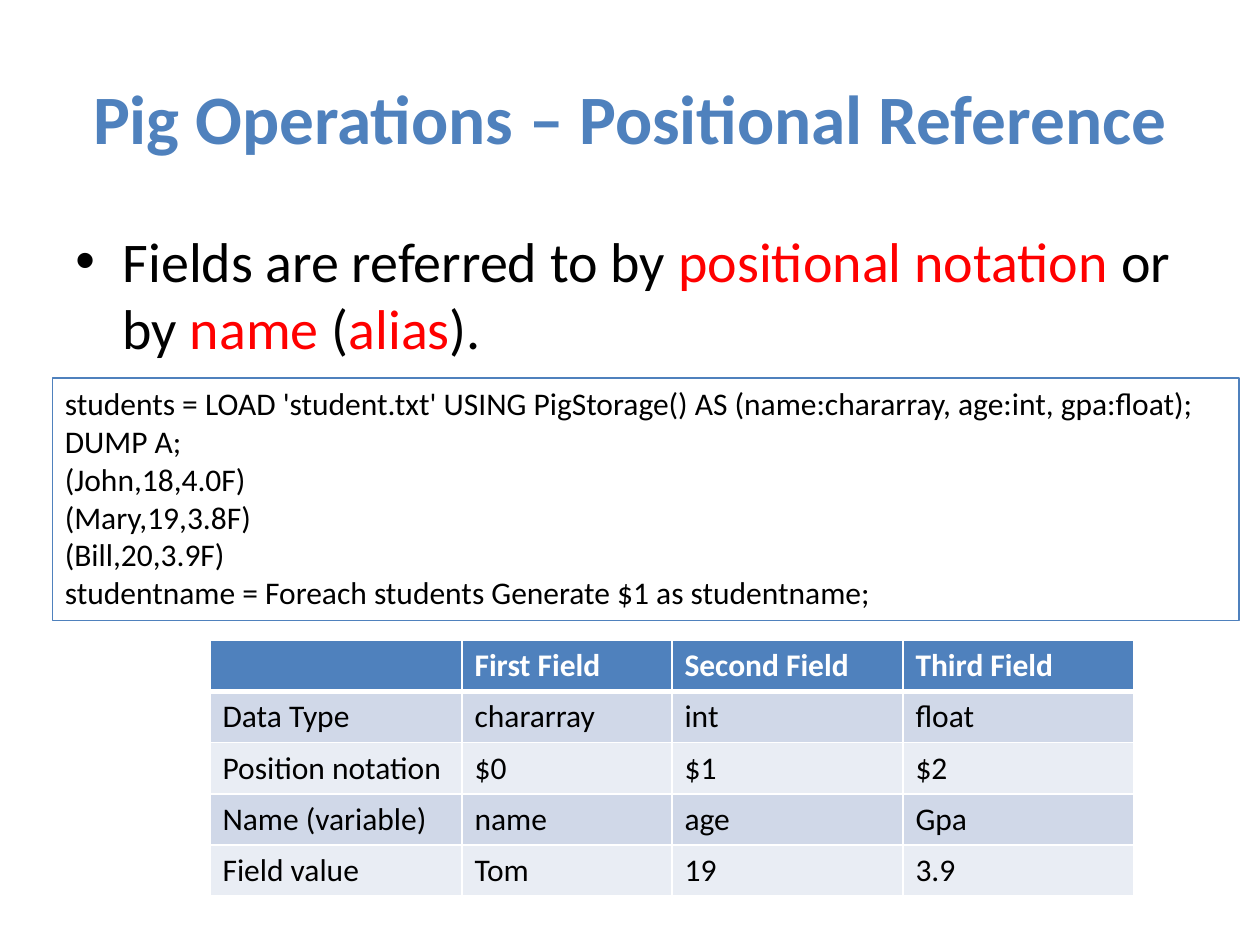
"""Build the slide on positional references in Pig."""
from lxml.etree import SubElement
from pptx import Presentation
from pptx.dml.color import RGBColor
from pptx.enum.shapes import MSO_SHAPE
from pptx.enum.text import MSO_ANCHOR, PP_ALIGN
from pptx.oxml import parse_xml
from pptx.oxml.ns import nsdecls, qn
from pptx.util import Pt

COLORS = {"blue": "4F81BD", "black": "000000", "red": "FF0000",
          "white": "FFFFFF", "dark_band": "D0D8E8", "light_band": "E9EDF4"}


def style(font, size, color, bold=False):
    font.name = "Calibri"
    font.size = Pt(size)
    font.bold = bold
    font.color.rgb = RGBColor.from_string(COLORS[color])


def add_border(cell, side, width):
    return parse_xml(
        f'<a:{side} {nsdecls("a")} w="{Pt(width)}"><a:solidFill>'
        f'<a:srgbClr val="{COLORS["white"]}"/></a:solidFill></a:{side}>')


presentation = Presentation()
presentation.slide_width = Pt(720)
presentation.slide_height = Pt(540)
slide = presentation.slides.add_slide(presentation.slide_layouts[6])

title = slide.shapes.add_textbox(Pt(36), Pt(21.6), Pt(648), Pt(90)).text_frame
title.word_wrap = True
title.vertical_anchor = MSO_ANCHOR.MIDDLE
title.text = "Pig Operations – Positional Reference"
title.paragraphs[0].alignment = PP_ALIGN.CENTER
style(title.paragraphs[0].runs[0].font, 39.6, "blue", True)

body = slide.shapes.add_textbox(Pt(36), Pt(126), Pt(648), Pt(356.4)).text_frame
body.word_wrap = True
statement = body.paragraphs[0]
statement.space_before = Pt(6.4)
for words, color in [("Fields are referred to by ", "black"),
                     ("positional notation", "red"), (" or by ", "black"),
                     ("name", "red"), (" (", "black"),
                     ("alias", "red"), (").", "black")]:
    run = statement.add_run()
    run.text = words
    style(run.font, 32, color)
bullet = statement._p.get_or_add_pPr()
bullet.set("marL", str(Pt(27)))
bullet.set("indent", str(Pt(-27)))
SubElement(bullet, qn("a:buFont")).set("typeface", "Arial")
SubElement(bullet, qn("a:buChar")).set("char", "•")

FIELDS = [["", "First Field", "Second Field", "Third Field"],
          ["Data Type", "chararray", "int", "float"],
          ["Position notation", "$0", "$1", "$2"],
          ["Name (variable)", "name", "age", "Gpa"],
          ["Field value", "Tom", "19", "3.9"]]
field_table = slide.shapes.add_table(
    5, 4, Pt(120), Pt(366), Pt(528), Pt(146)).table
for column, width in zip(field_table.columns, [144, 120, 132, 132]):
    column.width = Pt(width)
for r, entries in enumerate(FIELDS):
    field_table.rows[r].height = Pt(29.2)
    header = r == 0
    band = "blue" if header else "dark_band" if r % 2 else "light_band"
    for c, entry in enumerate(entries):
        cell = field_table.cell(r, c)
        cell.text = entry
        cell.fill.solid()
        cell.fill.fore_color.rgb = RGBColor.from_string(COLORS[band])
        for run in cell.text_frame.paragraphs[0].runs:
            style(run.font, 18, "white" if header else "black", header)
        widths = {"lnL": 1, "lnR": 1, "lnT": 3 if r == 1 else 1,
                  "lnB": 3 if header else 1}
        for position, (side, width) in enumerate(widths.items()):
            cell._tc.get_or_add_tcPr().insert(
                position, add_border(cell, side, width))

code_box = slide.shapes.add_shape(
    MSO_SHAPE.RECTANGLE, Pt(30), Pt(216), Pt(678), Pt(138.5))
code_box.shadow.inherit = False
code_box.fill.background()
code_box.line.color.rgb = RGBColor.from_string(COLORS["blue"])
code_box.line.width = Pt(0.75)
code = code_box.text_frame
code.word_wrap = True
code.vertical_anchor = MSO_ANCHOR.TOP
code.text = "\n".join([
    "students = LOAD 'student.txt' USING PigStorage() AS "
    "(name:chararray, age:int, gpa:float);",
    "DUMP A;",
    "(John,18,4.0F)",
    "(Mary,19,3.8F)",
    "(Bill,20,3.9F)",
    "studentname = Foreach students Generate $1 as studentname;"])
for line in code.paragraphs:
    line.alignment = PP_ALIGN.LEFT
    style(line.runs[0].font, 18, "black")

presentation.save("out.pptx")
